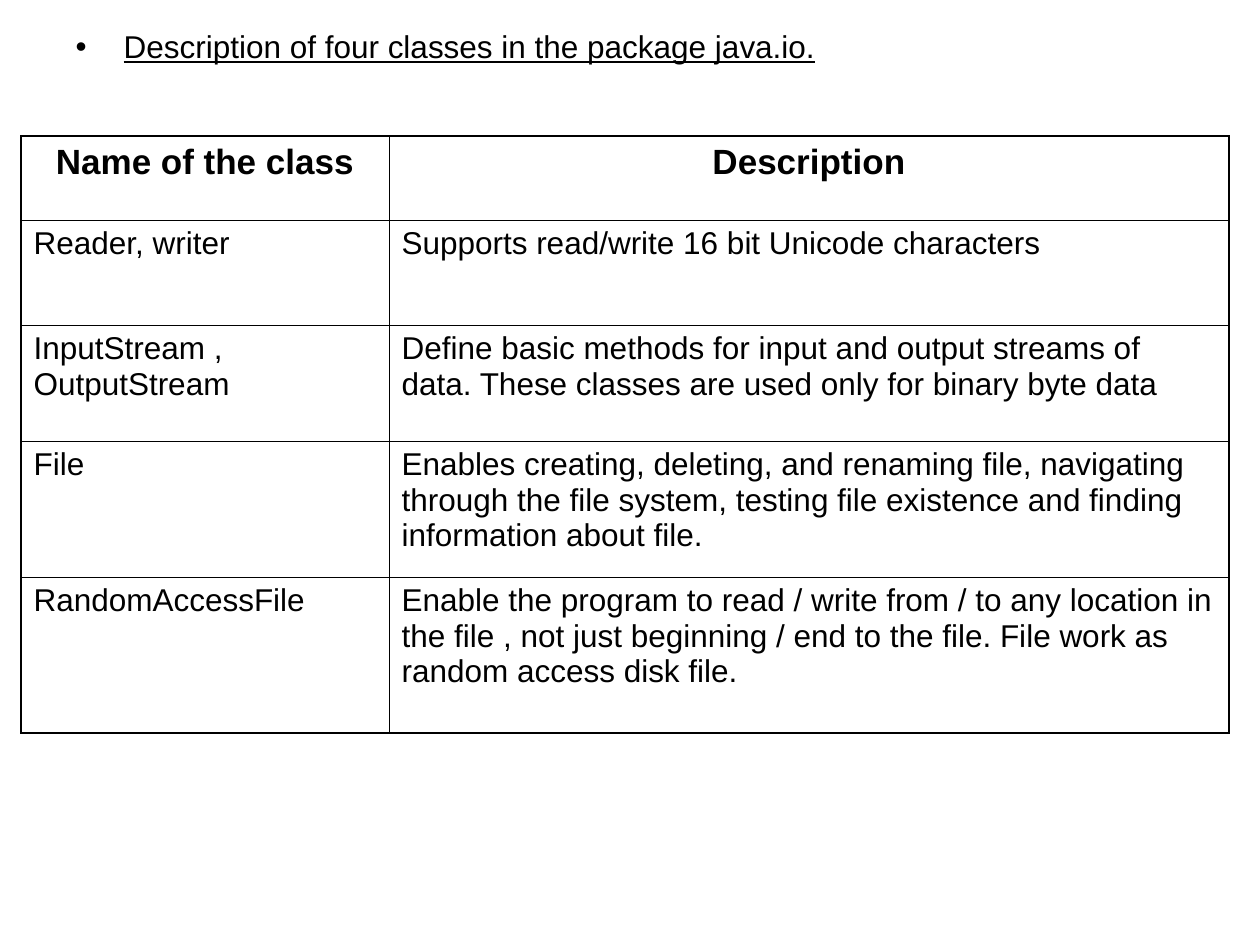
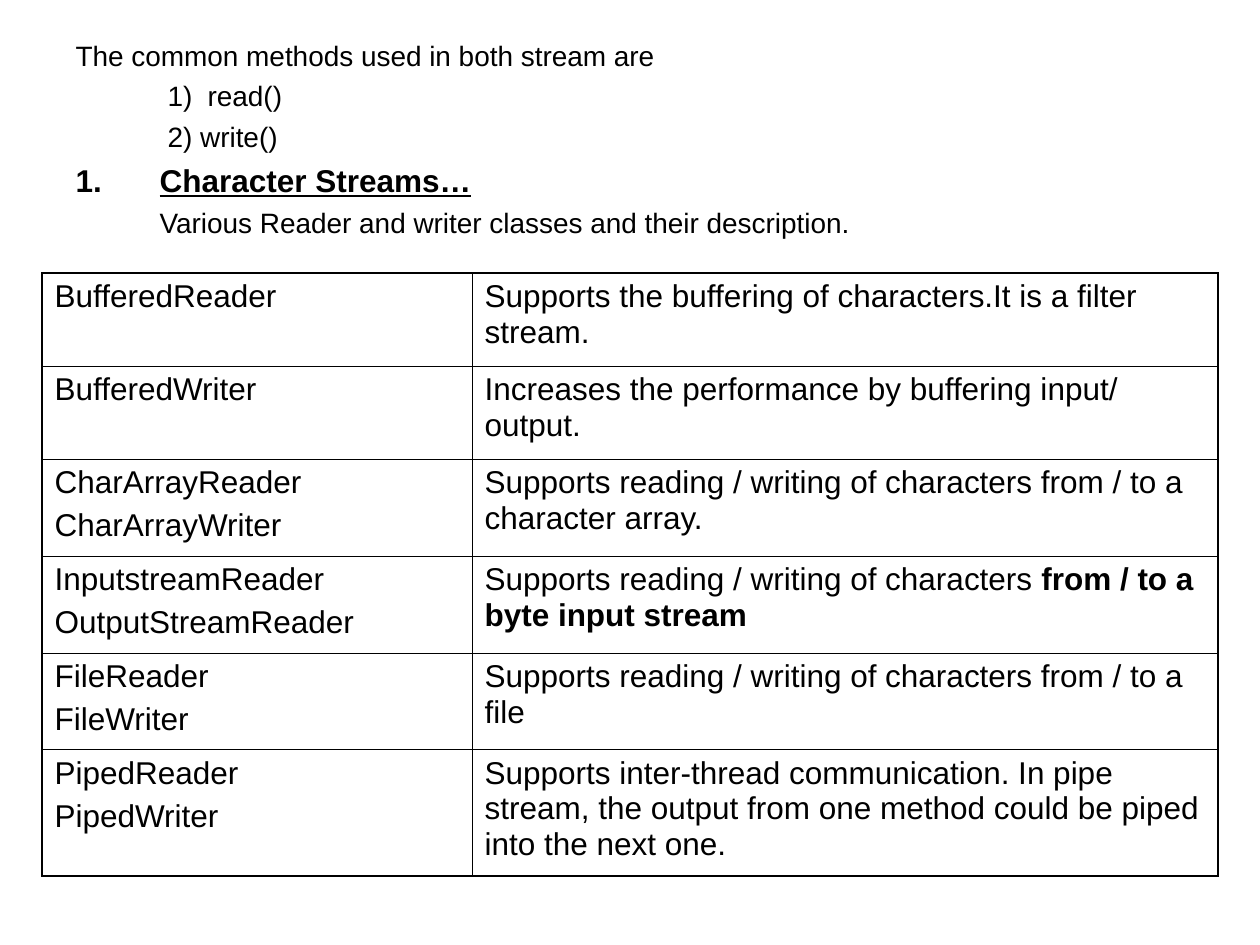
from lxml.etree import SubElement
from pptx import Presentation
from pptx.dml.color import RGBColor
from pptx.enum.text import MSO_ANCHOR, MSO_AUTO_SIZE, PP_ALIGN
from pptx.oxml.ns import qn
from pptx.util import Emu, Pt

PX_PER_INCH = 126
INK = "000000"


def px(length):
    return Emu(round(length * 914400 / PX_PER_INCH))


def color(hex_text):
    return RGBColor.from_string(hex_text)


class Page:
    font = "Arial"
    text_size = 18
    outer_line = Pt(1.08)
    inner_line = Pt(0.45)

    def __init__(self, deck):
        self.slide = deck.slides.add_slide(deck.slide_layouts[1])
        title = self.slide.shapes.title
        title.element.getparent().remove(title.element)

    def style(self, para, size, bold=False, underline=False, first=False):
        """Format every run; space before is a quarter of the text size."""
        para.space_before = Pt(0 if first else size / 4)
        for span in para.runs:
            self.style_span(span, size, bold, underline)

    def style_span(self, span, size, bold=False, underline=False):
        span.font.name = self.font
        span.font.size = Pt(size)
        span.font.bold = bold
        span.font.underline = underline
        span.font.color.rgb = color(INK)

    def body(self, left, top, width, height, lines):
        """Fill the body placeholder with (text, bullet, margin, indent, style) lines."""
        box = self.slide.placeholders[1]
        box.left, box.top, box.width, box.height = map(px, (left, top, width, height))
        frame = box.text_frame
        frame.auto_size = MSO_AUTO_SIZE.NONE
        frame.word_wrap = True
        frame.vertical_anchor = MSO_ANCHOR.TOP
        frame.text = "\n".join(line[0] for line in lines)
        for index, (para, line) in enumerate(zip(frame.paragraphs, lines)):
            _, bullet, margin, indent, options = line
            self.bullet(para, bullet, margin, indent)
            self.style(para, first=index == 0, **options)

    def bullet(self, para, bullet, margin, indent):
        properties = para._p.get_or_add_pPr()
        properties.set("marL", str(px(margin)))
        properties.set("indent", str(px(indent)))
        if bullet is None:
            SubElement(properties, qn("a:buNone"))
            return
        tint = SubElement(properties, qn("a:buClr"))
        SubElement(tint, qn("a:srgbClr"), val=INK)
        SubElement(properties, qn("a:buFont"), typeface=self.font)
        if bullet == "1.":
            SubElement(properties, qn("a:buAutoNum"), type="arabicPeriod")
        else:
            SubElement(properties, qn("a:buChar"), char=bullet)

    def table(self, left, top, widths, heights, rows, header=False):
        frame = self.slide.shapes.add_table(
            len(rows), len(widths), px(left), px(top), px(sum(widths)), px(sum(heights)))
        table = frame.table
        table.first_row = table.horz_banding = False
        for column, width in zip(table.columns, widths):
            column.width = px(width)
        for row, height in zip(table.rows, heights):
            row.height = px(height)
        for r, texts in enumerate(rows):
            for c, text in enumerate(texts):
                cell = table.cell(r, c)
                edges = {"L": c == 0, "R": c == len(widths) - 1,
                         "T": r == 0, "B": r == len(rows) - 1}
                self.cell(cell, text, edges, header and r == 0)
        return table

    def cell(self, cell, text, edges, is_header):
        cell.text = text
        for index, para in enumerate(cell.text_frame.paragraphs):
            para.alignment = PP_ALIGN.CENTER if is_header else PP_ALIGN.LEFT
            self.style(para, 20 if is_header else self.text_size, is_header, first=index == 0)
        properties = cell._tc.get_or_add_tcPr()
        for side, is_outer in edges.items():
            width = self.outer_line if is_outer else self.inner_line
            line = SubElement(properties, qn(f"a:ln{side}"), w=str(width))
            fill = SubElement(line, qn("a:solidFill"))
            SubElement(fill, qn("a:srgbClr"), val=INK)
        cell.fill.background()


def add_package_page(deck):
    page = Page(deck)
    page.body(63, 21, 1157, 53, [
        ("Description of four classes in the package java.io.", "•", 48, -48,
         {"size": 18, "underline": True}),
    ])
    page.table(21, 136, [368, 840], [84, 105, 116, 136, 156], [
        ("Name of the class", "Description"),
        ("Reader, writer", "Supports read/write 16 bit Unicode characters"),
        ("InputStream , OutputStream",
         "Define basic methods for input and output streams of data. "
         "These classes are used only for binary byte data"),
        ("File",
         "Enables creating, deleting, and renaming file, navigating through the file system, "
         "testing file existence and finding information about file."),
        ("RandomAccessFile",
         "Enable the program to read / write from / to any location in the file , "
         "not just beginning / end to the file. File work as random access disk file."),
    ], header=True)


def add_character_streams_page(deck):
    page = Page(deck)
    plain = {"size": 16}
    page.body(63, 32, 1166, 220, [
        ("The common methods used in both stream are", None, 84, -84, plain),
        ("1)\tread()", None, 132, -40, plain),
        ("2) write()", None, 92, 0, plain),
        ("Character Streams…", "1.", 84, -84, {"size": 18, "bold": True, "underline": True}),
        ("Various Reader and writer classes and their description.", None, 84, 0, plain),
    ])
    table = page.table(42, 273, [430, 746], [93, 93, 97, 97, 97, 126], [
        ("BufferedReader", "Supports the buffering of characters.It is a filter stream."),
        ("BufferedWriter", "Increases the performance by buffering input/ output."),
        ("CharArrayReader\nCharArrayWriter",
         "Supports reading / writing of characters from / to a character array."),
        ("InputstreamReader\nOutputStreamReader", "Supports reading / writing of characters "),
        ("FileReader\nFileWriter", "Supports reading / writing of characters from / to a file"),
        ("PipedReader\nPipedWriter",
         "Supports inter-thread communication. In pipe stream, "
         "the output from one method could be piped into the next one."),
    ])
    span = table.cell(3, 1).text_frame.paragraphs[0].add_run()
    span.text = "from / to a byte input stream"
    page.style_span(span, page.text_size, bold=True)


def main():
    deck = Presentation()
    deck.slide_width, deck.slide_height = px(1260), px(945)
    add_package_page(deck)
    add_character_streams_page(deck)
    deck.save("out.pptx")


if __name__ == "__main__":
    main()
